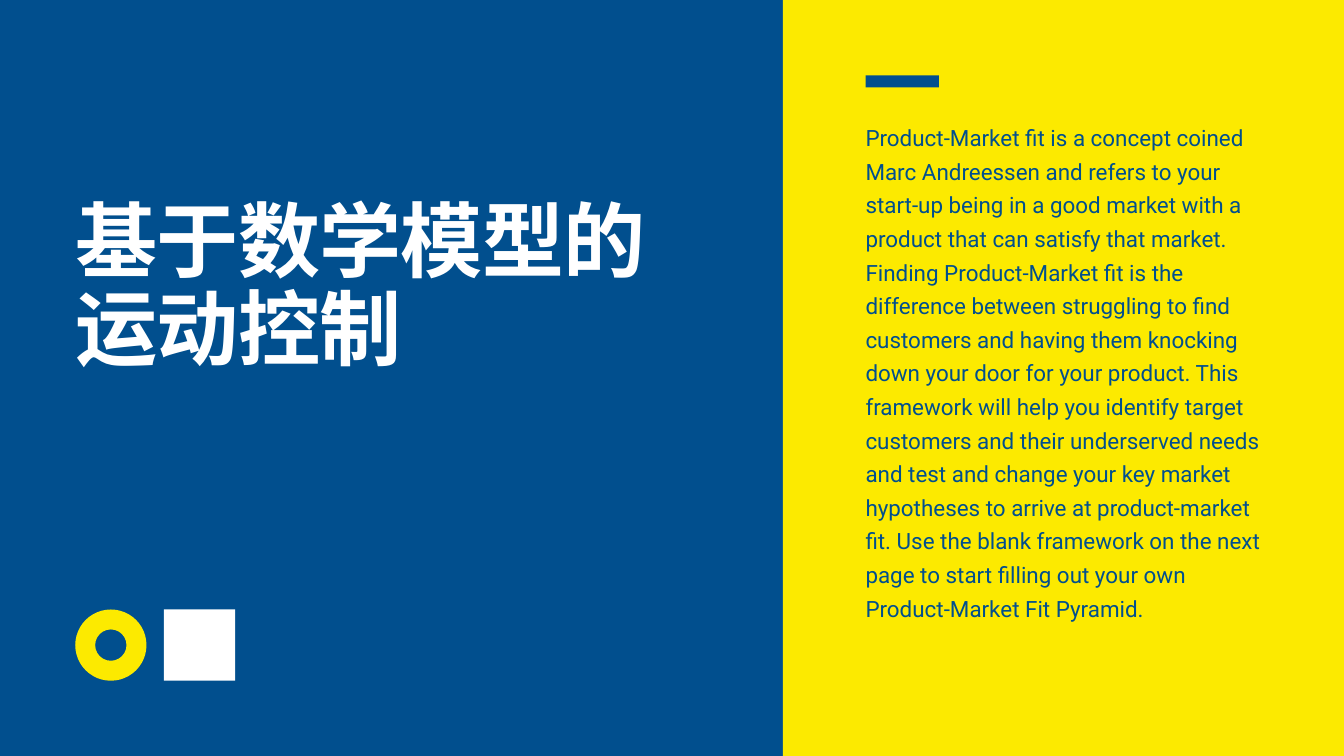
from lxml.etree import SubElement
from pptx import Presentation
from pptx.dml.color import RGBColor
from pptx.enum.shapes import MSO_SHAPE as Preset
from pptx.enum.text import MSO_ANCHOR as Anchor, PP_ALIGN as Align
from pptx.oxml.ns import qn
from pptx.util import Inches, Pt

BLUE, YELLOW, WHITE = "014F8E", "FCEA00", "FFFFFF"
HEADING = "基于数学模型的运动控制"
BODY = (
    "Product-Market fit is a concept coined Marc Andreessen and refers to your "
    "start-up being in a good market with a product that can satisfy that market. "
    "Finding Product-Market fit is the difference between struggling to find "
    "customers and having them knocking down your door for your product. This "
    "framework will help you identify target customers and their underserved needs "
    "and test and change your key market hypotheses to arrive at product-market "
    "fit. Use the blank framework on the next page to start filling out your own "
    "Product-Market Fit Pyramid."
)


def paint(fill, color):
    """Make a fill solid in a hex colour."""
    fill.solid()
    fill.fore_color.rgb = RGBColor.from_string(color)


def add_block(page, preset, box, color):
    """Add a flat preset shape without outline or shadow."""
    block = page.shapes.add_shape(preset, *map(Inches, box))
    paint(block.fill, color)
    block.line.fill.background()
    block.shadow.inherit = False
    return block


def write(shape, text, font_name, size, leading, color, bold=False):
    """Fill a text shape with one paragraph and return the paragraph."""
    frame = shape.text_frame
    frame.word_wrap = True
    frame.vertical_anchor = Anchor.TOP
    frame.margin_left = frame.margin_top = 0
    frame.margin_right = frame.margin_bottom = 0
    para = frame.paragraphs[0]
    para.text = text
    para.alignment = Align.LEFT
    para.line_spacing = Pt(leading)
    para.space_before = Pt(0)
    font = para.font
    font.name, font.size, font.bold = font_name, Pt(size), bold
    font.color.rgb = RGBColor.from_string(color)
    return para


def place_heading(page, box):
    """Place the title with its East Asian font and tight tracking."""
    title = page.shapes.title
    title.left, title.top, title.width, title.height = map(Inches, box)
    para = write(title, HEADING, "Noto Sans CJK SC", 88, 93.6, WHITE, bold=True)
    properties = para._p.get_or_add_pPr().get_or_add_defRPr()
    properties.set("spc", "-70")
    SubElement(properties, qn("a:ea"), typeface="Noto Sans CJK SC")


def place_emblem(page, box):
    """Place a ring at the left and a square at the right of the box."""
    left, top, width, size = box
    ring = add_block(page, Preset.DONUT, (left, top, size, size), YELLOW)
    ring.adjustments[0] = 0.28
    square_left = left + width - size
    add_block(page, Preset.RECTANGLE, (square_left, top, size, size), WHITE)


def place_panel(page, box):
    """Place the side panel with its accent bar and body text."""
    left, top, width, height = box
    add_block(page, Preset.RECTANGLE, box, YELLOW)
    text_left = left + 1.23
    bar = (text_left, top + 1.12, 1.09, 0.18)
    add_block(page, Preset.RECTANGLE, bar, BLUE)
    body_box = (text_left, top + 1.75, 6, 7.45)
    body = page.shapes.add_textbox(*map(Inches, body_box))
    write(body, BODY, "Roboto", 24, 36, BLUE)


def main():
    """Build and save the slide."""
    deck = Presentation()
    deck.slide_width, deck.slide_height = Inches(20), Inches(11.25)
    page = deck.slides.add_slide(deck.slide_layouts[5])
    paint(page.background.fill, BLUE)
    place_panel(page, (11.65, 0, 8.35, 11.25))
    place_heading(page, (1.12, 2.99, 9.45, 2.64))
    place_emblem(page, (1.12, 9.07, 2.38, 1.06))
    deck.save("out.pptx")


if __name__ == "__main__":
    main()
